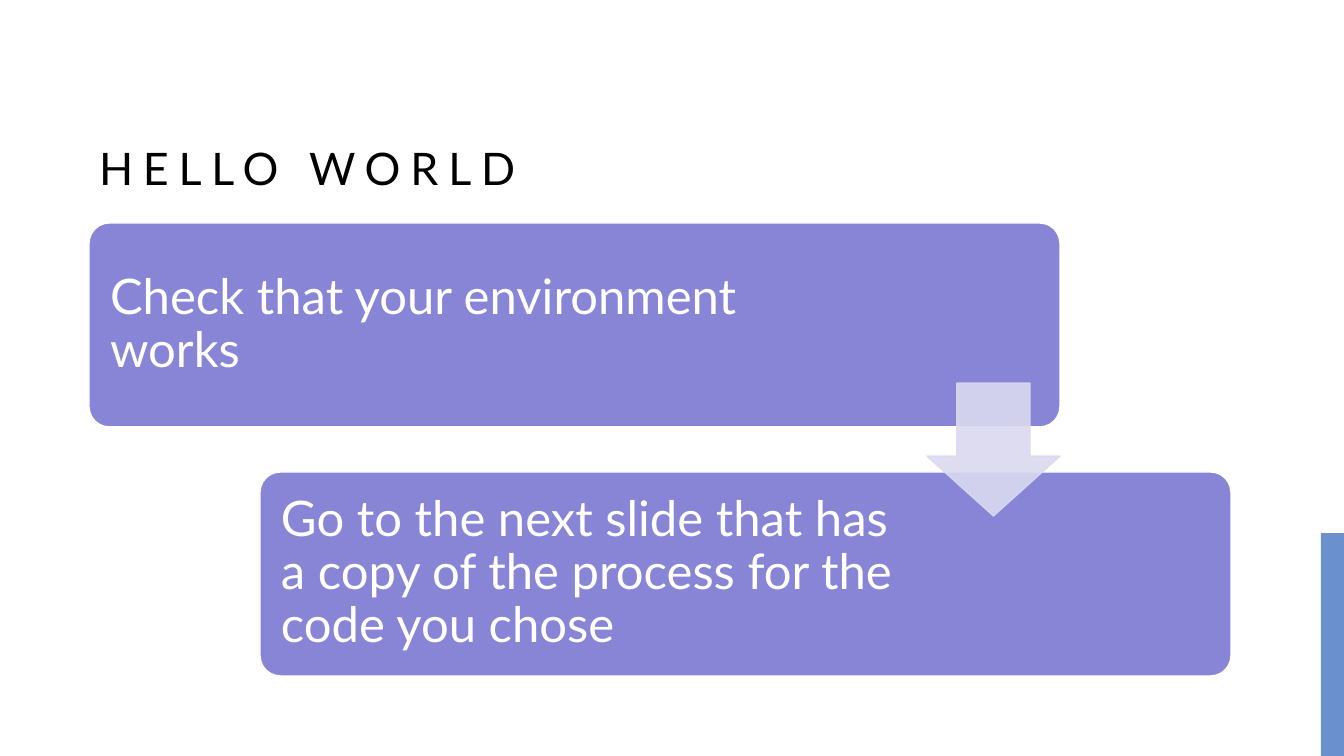
"""Build the Hello World slide with two process steps joined by an arrow."""
from dataclasses import dataclass

from lxml.etree import SubElement
from pptx import Presentation
from pptx.dml.color import RGBColor
from pptx.enum.shapes import MSO_SHAPE
from pptx.enum.text import MSO_ANCHOR
from pptx.oxml.ns import qn
from pptx.shapes.autoshape import Shape
from pptx.slide import Slide
from pptx.util import Emu, Pt


@dataclass(frozen=True)
class Theme:
    font: str = "Lato"
    title_size: int = 32
    step_size: int = 35
    title_color: str = "000000"
    white: str = "FFFFFF"
    card: str = "8885D7"
    arrow: str = "DAD9F0"
    accent: str = "6A90CE"


@dataclass(frozen=True)
class Box:
    left: int
    top: int
    width: int
    height: int

    def emu(self) -> tuple[Emu, Emu, Emu, Emu]:
        return px(self.left), px(self.top), px(self.width), px(self.height)


@dataclass(frozen=True)
class TextStyle:
    size: int
    color: str
    anchor: MSO_ANCHOR
    line_spacing: float
    inset_x: int
    inset_y: int
    tracking: int = 0


@dataclass(frozen=True)
class Step:
    text: str
    text_width: int


THEME = Theme()
TITLE_STYLE = TextStyle(THEME.title_size, THEME.title_color, MSO_ANCHOR.BOTTOM, 1.2, 10, 5, 7)
STEP_STYLE = TextStyle(THEME.step_size, THEME.white, MSO_ANCHOR.MIDDLE, 0.9, 15, 15)
FIRST_CARD = Box(89, 223, 971, 204)
STEP_SHIFT_X, STEP_SHIFT_Y = 171, 249
CARD_PADDING = 6
STEPS = (
    Step("Check that your environment works", 760),
    Step("Go to the next slide that has a copy of the process for the code you chose", 654),
)


def px(length: int) -> Emu:
    return Emu(round(length * 914400 / 100.8))


def add_filled(slide: Slide, kind: MSO_SHAPE, box: Box, fill: str, outline: str | None = None) -> Shape:
    shape = slide.shapes.add_shape(kind, *box.emu())
    shape.shadow.inherit = False
    shape.fill.solid()
    shape.fill.fore_color.rgb = RGBColor.from_string(fill)
    if outline is None:
        shape.line.fill.background()
    else:
        shape.line.color.rgb = RGBColor.from_string(outline)
        shape.line.width = Pt(1)
    return shape


def add_text(slide: Slide, box: Box, text: str, style: TextStyle) -> None:
    frame = slide.shapes.add_textbox(*box.emu()).text_frame
    frame.word_wrap = True
    frame.vertical_anchor = style.anchor
    frame.margin_left = frame.margin_right = px(style.inset_x)
    frame.margin_top = frame.margin_bottom = px(style.inset_y)
    paragraph = frame.paragraphs[0]
    paragraph.line_spacing = style.line_spacing
    run = paragraph.add_run()
    run.text = text
    run.font.name = THEME.font
    run.font.size = Pt(style.size)
    run.font.color.rgb = RGBColor.from_string(style.color)
    if style.tracking:
        run.font._element.set("spc", str(style.tracking * 100))


def add_step(slide: Slide, index: int, step: Step) -> None:
    card = Box(
        FIRST_CARD.left + index * STEP_SHIFT_X,
        FIRST_CARD.top + index * STEP_SHIFT_Y,
        FIRST_CARD.width,
        FIRST_CARD.height,
    )
    add_filled(slide, MSO_SHAPE.ROUNDED_RECTANGLE, card, THEME.card, THEME.white).adjustments[0] = 0.1
    label = Box(
        card.left + CARD_PADDING,
        card.top + CARD_PADDING,
        step.text_width,
        card.height - 2 * CARD_PADDING,
    )
    add_text(slide, label, step.text, STEP_STYLE)


def add_step_arrow(slide: Slide) -> None:
    arrow = add_filled(slide, MSO_SHAPE.DOWN_ARROW, Box(927, 383, 133, 133), THEME.arrow, THEME.arrow)
    arrow.adjustments[0] = 0.55
    arrow.adjustments[1] = 0.45
    for color in arrow._element.spPr.iter(qn("a:srgbClr")):
        SubElement(color, qn("a:alpha")).set("val", "90000")


def main() -> None:
    presentation = Presentation()
    presentation.slide_width, presentation.slide_height = px(1344), px(756)
    slide = presentation.slides.add_slide(presentation.slide_layouts[6])
    add_filled(slide, MSO_SHAPE.RECTANGLE, Box(1321, 533, 23, 223), THEME.accent)
    add_text(slide, Box(89, 40, 1142, 159), "HELLO WORLD", TITLE_STYLE)
    for index, step in enumerate(STEPS):
        add_step(slide, index, step)
    add_step_arrow(slide)
    presentation.save("out.pptx")


if __name__ == "__main__":
    main()
